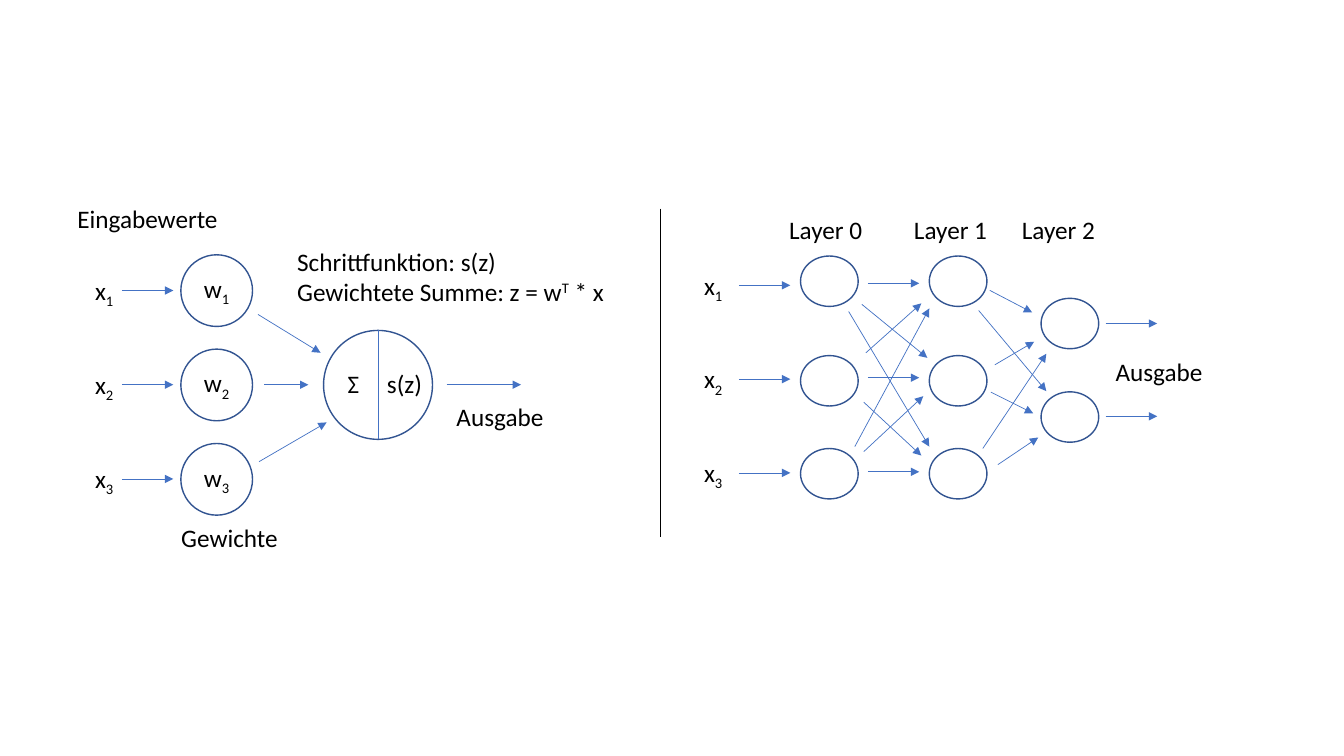
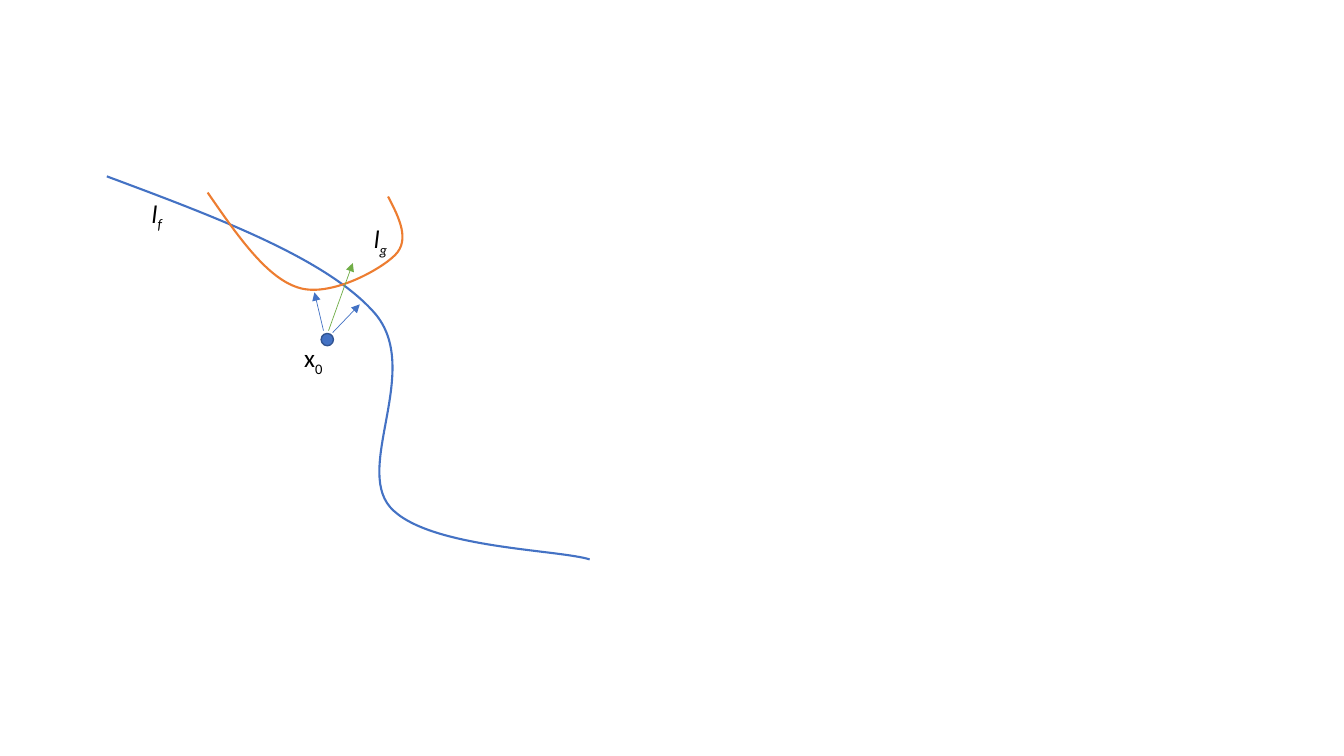
from typing import NamedTuple

from pptx import Presentation
from pptx.dml.color import RGBColor
from pptx.enum.shapes import MSO_CONNECTOR, MSO_SHAPE
from pptx.enum.text import MSO_ANCHOR, MSO_AUTO_SIZE, PP_ALIGN
from pptx.oxml.ns import qn
from pptx.oxml.xmlchemy import OxmlElement
from pptx.shapes.autoshape import Shape
from pptx.shapes.shapetree import GroupShapes, SlideShapes
from pptx.util import Pt

STRAIGHT = MSO_CONNECTOR.STRAIGHT
OVAL = MSO_SHAPE.OVAL
MIDDLE = MSO_ANCHOR.MIDDLE
CENTER = PP_ALIGN.CENTER
GROW = MSO_AUTO_SIZE.SHAPE_TO_FIT_TEXT

COLORS = {
    "text": "000000",
    "outline": "325491",
    "blue": "4472C4",
    "orange": "ED7D31",
    "green": "70AD47",
}
FONT = "Calibri"
TEXT_SIZE = 18
LABEL_HEIGHT = 29
SUBSCRIPT = -25000
SUPERSCRIPT = 30000

ShapeTree = SlideShapes | GroupShapes


class Run(NamedTuple):
    text: str
    baseline: int = 0


class Label(NamedTuple):
    text: str
    left: float
    top: float
    width: float


class Segment(NamedTuple):
    start_x: float
    start_y: float
    end_x: float
    end_y: float


class Point(NamedTuple):
    x: float
    y: float


Line = list[Run]

PERCEPTRON_LABELS = [
    Label("Gewichte", 122.4, 369.4, 84.2),
    Label("Σ", 241.2, 259.6, 23),
    Label("s(z)", 269.3, 259.6, 39.6),
    Label("Eingabewerte", 48.2, 141.8, 116),
    Label("Ausgabe", 319, 283, 77),
]
PERCEPTRON_ARROWS = [
    Segment(184.3, 224.6, 229, 252),
    Segment(188.6, 274.8, 220.3, 274.8),
    Segment(185, 329.8, 233.3, 301.7),
    Segment(319, 274.8, 372.2, 274.8),
]
LAYER_LEFTS = (571.8, 663.8, 743.6)
HIDDEN_TOPS = (182.9, 254, 320.4)
LAYER_TOPS = (HIDDEN_TOPS, HIDDEN_TOPS, (213.1, 279.9))
NETWORK_LABELS = [
    Label("Layer 0", 556.6, 149.3, 67.7),
    Label("Layer 1", 645.8, 149.3, 67.7),
    Label("Layer 2", 722.9, 149.3, 67.7),
    Label("Ausgabe", 789.8, 251.3, 77),
]
NETWORK_ARROWS = [
    *(Segment(619.9, y, 656.6, y) for y in (202.4, 269.8, 337)),
    *(Segment(789.8, y, 826.6, y) for y in (231.1, 297.4)),
    Segment(615.6, 217.4, 662.4, 255.6),
    Segment(617, 287.3, 658.1, 325.4),
    Segment(617, 322.6, 659.5, 283),
    Segment(618.5, 252, 658.1, 216.7),
    Segment(610.6, 319, 663.8, 220.3),
    Segment(606.2, 222.5, 663.8, 319),
    Segment(707, 207.4, 737.3, 223.2),
    Segment(710.6, 260.6, 738.7, 244.1),
    Segment(702, 320.4, 747.4, 252.7),
    Segment(707.8, 280.1, 738, 295.2),
    Segment(699.1, 221.8, 747.4, 279.4),
    Segment(712.8, 331.9, 741.6, 312.5),
]
# Each curve is a start point followed by two controls and an end per piece.
CURVE_F = [
    Point(76.3, 126),
    Point(155.5, 155.5), Point(234, 185), Point(267.8, 223.9),
    Point(301.7, 263.5), Point(253.4, 332.6), Point(278.6, 362.2),
    Point(304.6, 391.7), Point(398.2, 392.4), Point(421.2, 399.6),
]
CURVE_G = [
    Point(277.2, 140.4),
    Point(285.1, 155.5), Point(293, 171.4), Point(282.2, 182.2),
    Point(271.4, 193), Point(234.7, 213.1), Point(212.4, 205.2),
    Point(190.1, 198), Point(169.2, 167.8), Point(148.3, 137.5),
]


def color(name: str) -> RGBColor:
    return RGBColor.from_string(COLORS[name])


def indexed(symbol: str, index: str) -> Line:
    """Return a symbol with a subscript."""
    return [Run(symbol), Run(index, SUBSCRIPT)]


def write_lines(shape: Shape, lines: list[Line], italic: bool = False) -> None:
    frame = shape.text_frame
    for number, line in enumerate(lines):
        paragraph = frame.add_paragraph() if number else frame.paragraphs[0]
        for part in line:
            run = paragraph.add_run()
            run.text = part.text
            if part.baseline:
                run._r.get_or_add_rPr().set("baseline", str(part.baseline))
        paragraph.font.name = FONT
        paragraph.font.size = Pt(TEXT_SIZE)
        paragraph.font.color.rgb = color("text")
        if italic:
            paragraph.font.italic = True


def add_text(shapes: ShapeTree, lines: list[Line], left: float, top: float,
             width: float, height: float = LABEL_HEIGHT, italic: bool = False) -> None:
    box = shapes.add_textbox(Pt(left), Pt(top), Pt(width), Pt(height))
    box.text_frame.word_wrap = False
    box.text_frame.auto_size = GROW
    write_lines(box, lines, italic)


def add_labels(shapes: ShapeTree, labels: list[Label]) -> None:
    for label in labels:
        add_text(shapes, [[Run(label.text)]], label.left, label.top, label.width)


def add_circle(shapes: ShapeTree, left: float, top: float, width: float,
               height: float, fill: str | None = None) -> Shape:
    circle = shapes.add_shape(OVAL, Pt(left), Pt(top), Pt(width), Pt(height))
    circle.shadow.inherit = False
    if fill:
        circle.fill.solid()
        circle.fill.fore_color.rgb = color(fill)
    else:
        circle.fill.background()
    circle.line.color.rgb = color("outline")
    circle.line.width = Pt(1)
    return circle


def add_line(shapes: ShapeTree, segment: Segment, line_color: str = "blue",
             arrow: bool = True) -> None:
    connector = shapes.add_connector(STRAIGHT, *(Pt(value) for value in segment))
    connector.line.color.rgb = color(line_color)
    connector.line.width = Pt(0.5)
    properties = connector._element.spPr
    if arrow:
        tail = OxmlElement("a:tailEnd")
        tail.set("type", "triangle")
        properties.find(qn("a:ln")).append(tail)
    properties.append(OxmlElement("a:effectLst"))


def add_inputs(shapes: ShapeTree, label_left: float, arrow_left: float,
               first_y: float, pitch: float) -> None:
    """Draw x1 to x3, each with an arrow to its right."""
    for row in range(3):
        y = first_y + row * pitch
        add_text(shapes, [indexed("x", str(row + 1))], label_left, y - 14.6, 29)
        add_line(shapes, Segment(arrow_left, y, arrow_left + 36.7, y))


def add_curve(shapes: ShapeTree, points: list[Point], line_color: str) -> None:
    """Draw an open outline of joined cubic Bezier pieces."""
    start, *others = [(Pt(point.x), Pt(point.y)) for point in points]
    builder = shapes.build_freeform(*start)
    builder.add_line_segments(others, close=False)
    curve = builder.convert_to_shape()
    outline = curve._element.spPr.find(f".//{qn('a:path')}")
    steps = outline.findall(qn("a:lnTo"))
    for first in range(0, len(steps), 3):
        bezier = OxmlElement("a:cubicBezTo")
        for step in steps[first:first + 3]:
            bezier.append(step[0])
            outline.remove(step)
        outline.append(bezier)
    curve.shadow.inherit = False
    curve.fill.background()
    curve.line.color.rgb = color(line_color)
    curve.line.width = Pt(1.5)


def draw_perceptron(shapes: ShapeTree) -> None:
    for row in range(3):
        weight = add_circle(shapes, 129.2, 182 + row * 67.4, 51.2, 51.2)
        weight.text_frame.vertical_anchor = MIDDLE
        write_lines(weight, [indexed("w", str(row + 1))])
        weight.text_frame.paragraphs[0].alignment = CENTER
    add_circle(shapes, 231.1, 236, 77.8, 77.8)
    add_line(shapes, Segment(270, 236, 270, 313.8), arrow=False)
    add_inputs(shapes, 60.8, 87.1, 207.5, 67.3)
    for arrow in PERCEPTRON_ARROWS:
        add_line(shapes, arrow)
    add_labels(shapes, PERCEPTRON_LABELS)
    formulas = [
        [Run("Schrittfunktion: s(z)")],
        [Run("Gewichtete Summe: z = w"), Run("T", SUPERSCRIPT), Run(" * x")],
    ]
    add_text(shapes, formulas, 205.2, 172.1, 235.4, 51)


def draw_network(shapes: ShapeTree) -> None:
    add_inputs(shapes, 495.8, 527.8, 203.8, 67)
    for left, tops in zip(LAYER_LEFTS, LAYER_TOPS):
        for top in tops:
            add_circle(shapes, left, top, 41.2, 36)
    for arrow in NETWORK_ARROWS:
        add_line(shapes, arrow)
    add_labels(shapes, NETWORK_LABELS)


def draw_curves(shapes: ShapeTree) -> None:
    add_curve(shapes, CURVE_F, "blue")
    add_circle(shapes, 229.4, 238.2, 8.8, 8.8, "blue")
    add_text(shapes, [indexed("x", "0")], 210.2, 241.2, 29)
    add_line(shapes, Segment(231.1, 236.2, 224.6, 208.8))
    add_line(shapes, Segment(237.6, 237.6, 257, 217.4))
    add_curve(shapes, CURVE_G, "orange")
    add_text(shapes, [indexed("l", "f")], 101.3, 138.2, 22.5, italic=True)
    add_text(shapes, [indexed("l", "g")], 260, 156.2, 29, italic=True)


def main() -> None:
    presentation = Presentation()
    presentation.slide_width = Pt(960)
    presentation.slide_height = Pt(540)
    blank = presentation.slide_layouts[6]

    networks = presentation.slides.add_slide(blank).shapes
    draw_perceptron(networks.add_group_shape().shapes)
    draw_network(networks.add_group_shape().shapes)
    add_line(networks, Segment(471.6, 149, 471.6, 383.8), "text", arrow=False)

    curves = presentation.slides.add_slide(blank).shapes
    draw_curves(curves.add_group_shape().shapes)
    add_line(curves, Segment(234.7, 236.2, 252, 187.9), "green")

    presentation.save("out.pptx")


if __name__ == "__main__":
    main()
